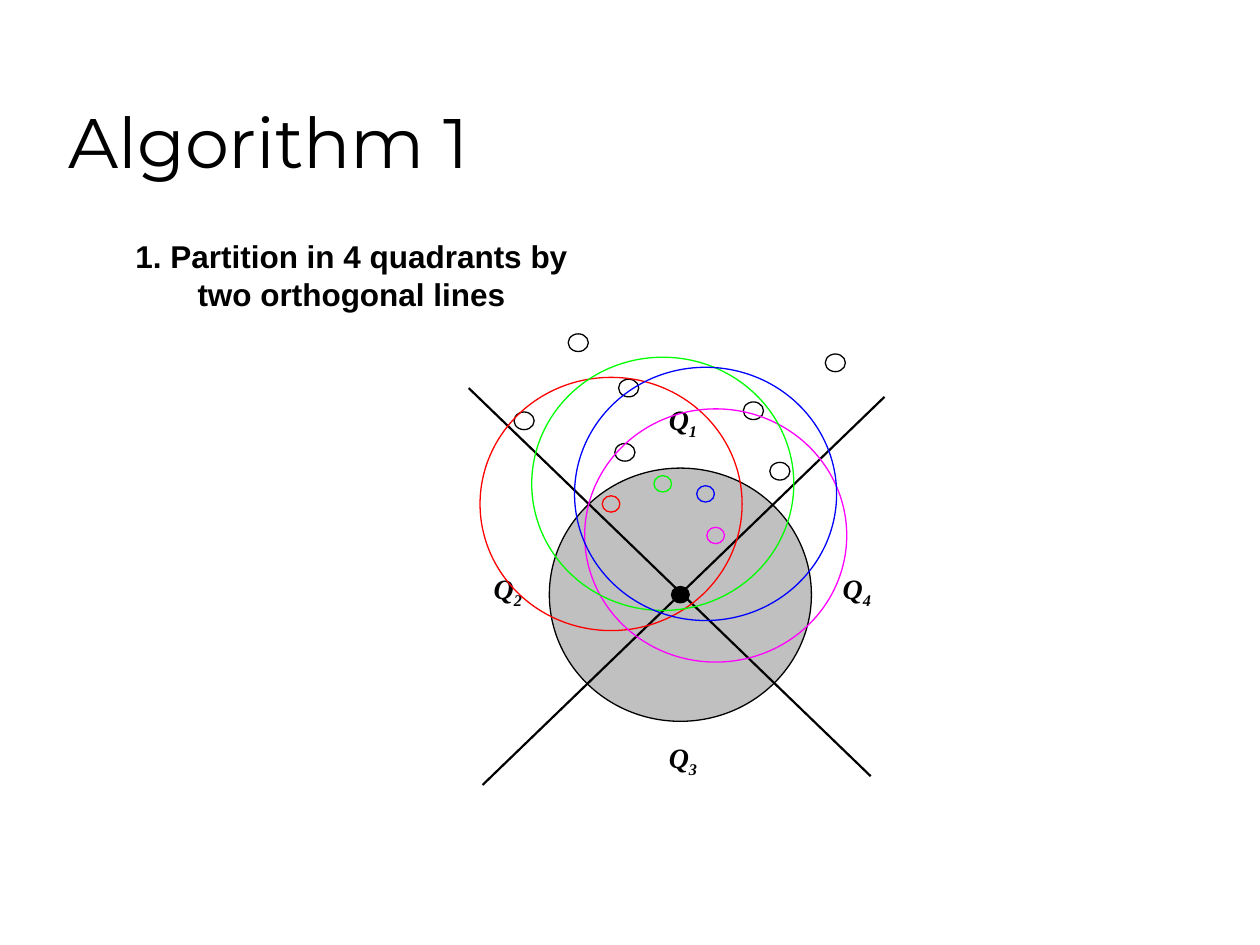
from lxml import etree
from pptx import Presentation
from pptx.dml.color import RGBColor
from pptx.enum import shapes, text
from pptx.oxml.ns import qn
from pptx.util import Inches, Pt

COLORS = {"black": "000000", "gray": "C0C0C0", "red": "FF0000",
          "magenta": "FF00FF", "green": "00FF00", "blue": "0000FF"}

TITLE = "Algorithm 1"
STEP = "1. Partition in 4 quadrants by two orthogonal lines"

# Centres of the node and its neighbours, whose ranges have the same size
NODE = (5.4, 4.72)
NEIGHBOURS = [("red", 4.85, 4.0), ("magenta", 5.68, 4.25),
              ("green", 5.26, 3.84), ("blue", 5.6, 3.92)]
OTHER_NODES = [(6.19, 3.74), (4.96, 3.59), (4.99, 3.08), (5.98, 3.26),
               (4.16, 3.34), (4.59, 2.72), (6.63, 2.88)]
RANGE_SIZE = (2.08, 2.01)
DOT_SIZE = (0.14, 0.13)
OTHER_SIZE = (0.16, 0.14)

DIVIDERS = [((3.83, 6.23), (7.02, 3.15)), ((3.72, 3.08), (6.91, 6.16))]
QUADRANTS = [("1", 5.21, 3.14), ("3", 5.21, 5.82),
             ("4", 6.59, 4.48), ("2", 3.82, 4.48)]


def rgb(name):
    return RGBColor.from_string(COLORS[name])


def add_circle(parent, center, size, line, fill=None):
    (x, y), (width, height) = center, size
    circle = parent.shapes.add_shape(
        shapes.MSO_SHAPE.OVAL, Inches(x - width / 2), Inches(y - height / 2),
        Inches(width), Inches(height))
    circle.shadow.inherit = False
    circle.line.color.rgb = rgb(line)
    circle.line.width = Pt(0.75)
    if fill:
        circle.fill.solid()
        circle.fill.fore_color.rgb = rgb(fill)
    else:
        circle.fill.background()


def add_node(page, center, line, range_fill=None, dot_fill=None):
    """Group a node with the circle that shows its range."""
    group = page.shapes.add_group_shape()
    add_circle(group, center, RANGE_SIZE, line, range_fill)
    add_circle(group, center, DOT_SIZE, line, dot_fill)


def add_divider(page, start, end):
    line = page.shapes.add_connector(
        shapes.MSO_CONNECTOR.STRAIGHT, *map(Inches, start + end))
    line.line.color.rgb = rgb("black")
    line.line.width = Pt(1.25)
    etree.SubElement(line._element.spPr, qn("a:effectLst"))


def add_span(para, words, font, size, bold=False, italic=False):
    span = para.add_run()
    span.text = words
    span.font.name = font
    span.font.size = Pt(size)
    span.font.bold = bold
    span.font.italic = italic
    span.font.color.rgb = rgb("black")
    return span


def add_box(page, left, top, width, height, wrap, side_margin):
    """Add a centred text box and return its first paragraph."""
    box = page.shapes.add_textbox(*map(Inches, (left, top, width, height)))
    frame = box.text_frame
    frame.word_wrap = wrap
    frame.margin_left = frame.margin_right = Inches(side_margin)
    frame.auto_size = text.MSO_AUTO_SIZE.SHAPE_TO_FIT_TEXT
    frame.vertical_anchor = text.MSO_ANCHOR.MIDDLE
    para = frame.paragraphs[0]
    para.alignment = text.PP_ALIGN.CENTER
    return para


def add_quadrant_label(page, number, left, top):
    # Narrow margins keep the letter and its index on one line
    label = add_box(page, left, top, 0.42, 0.41, wrap=False, side_margin=0.02)
    for words in ("Q", number):
        span = add_span(label, words, "Times New Roman", 16, bold=True, italic=True)
    span.font._element.set("baseline", "-25000")


def add_title(page):
    title = page.shapes.title
    title.left, title.top, title.width, title.height = map(
        Inches, (0.44, 0.25, 8.5, 1.25))
    frame = title.text_frame
    frame.auto_size = text.MSO_AUTO_SIZE.NONE
    frame.vertical_anchor = text.MSO_ANCHOR.BOTTOM
    para = frame.paragraphs[0]
    para.alignment = text.PP_ALIGN.LEFT
    add_span(para, TITLE, "Montserrat", 40)


def main():
    deck = Presentation()
    deck.slide_width, deck.slide_height = Inches(10), Inches(7.5)
    page = deck.slides.add_slide(deck.slide_layouts[5])

    add_title(page)
    step = add_box(page, 0.75, 1.83, 4.08, 0.7, wrap=True, side_margin=0.1)
    add_span(step, STEP, "Arial", 18, bold=True)

    add_node(page, NODE, "black", "gray", "black")
    for start, end in DIVIDERS:
        add_divider(page, start, end)
    for number, left, top in QUADRANTS:
        add_quadrant_label(page, number, left, top)

    others = page.shapes.add_group_shape()
    for center in OTHER_NODES:
        add_circle(others, center, OTHER_SIZE, "black")
    for color, x, y in NEIGHBOURS:
        add_node(page, (x, y), color)

    deck.save("out.pptx")


if __name__ == "__main__":
    main()
